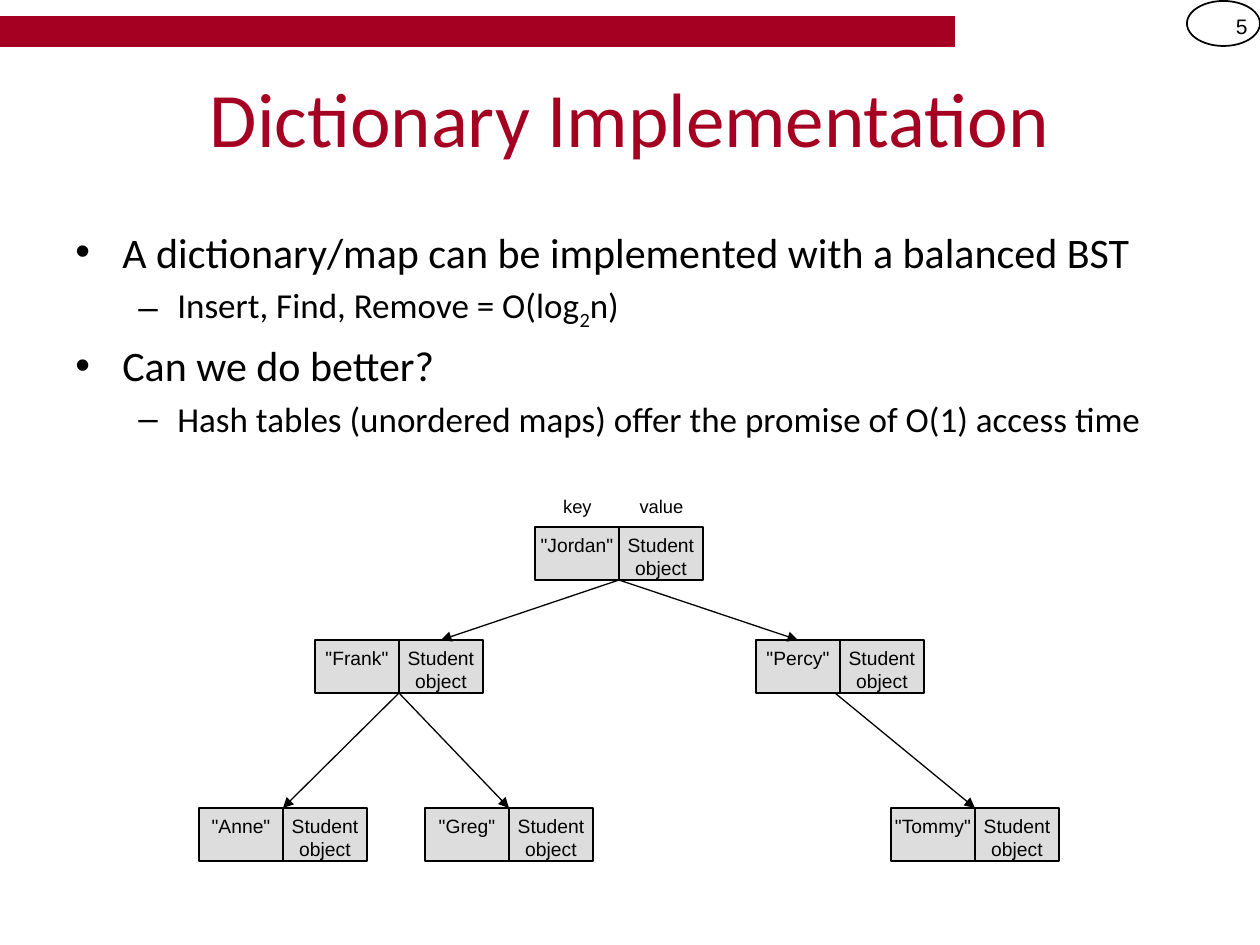
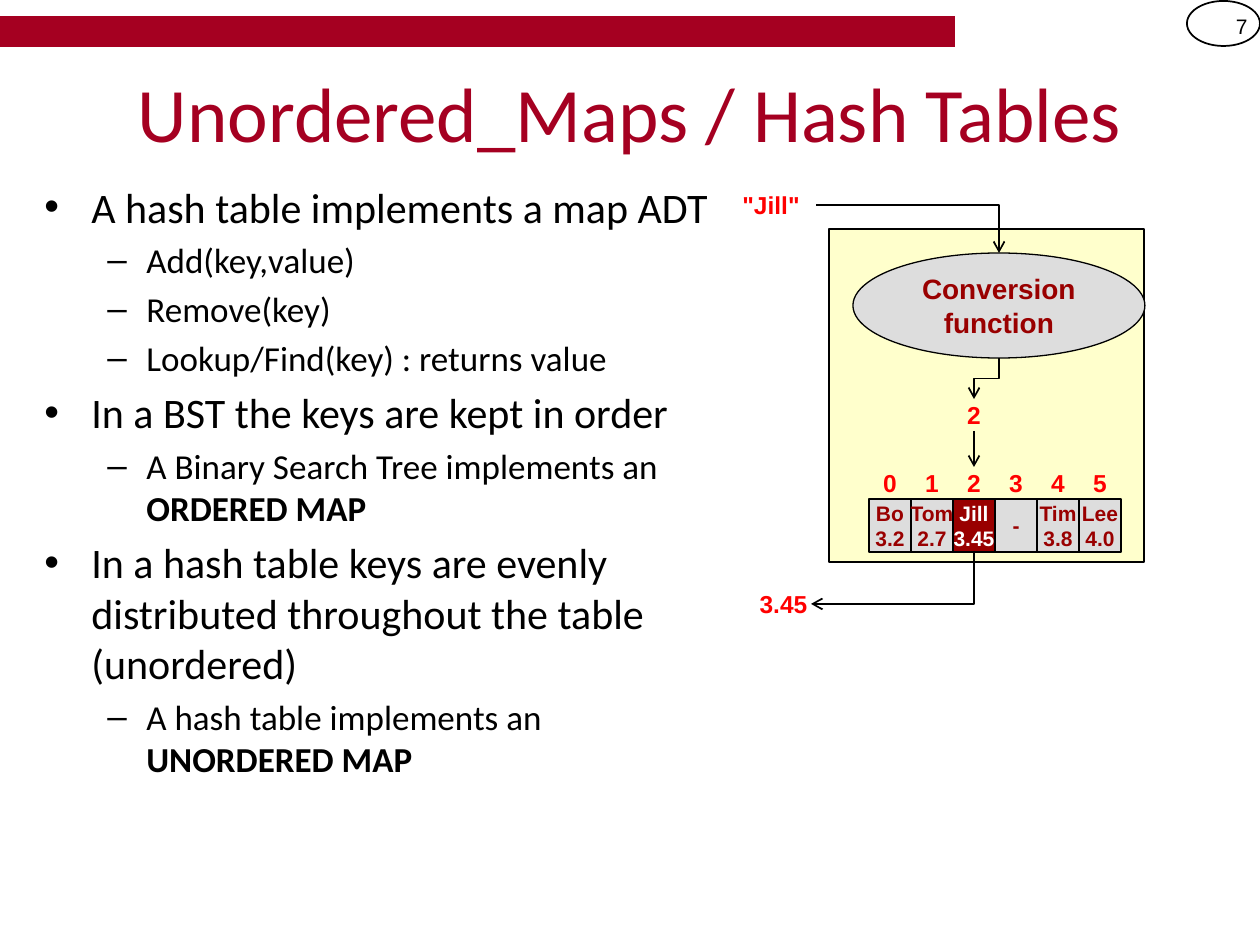
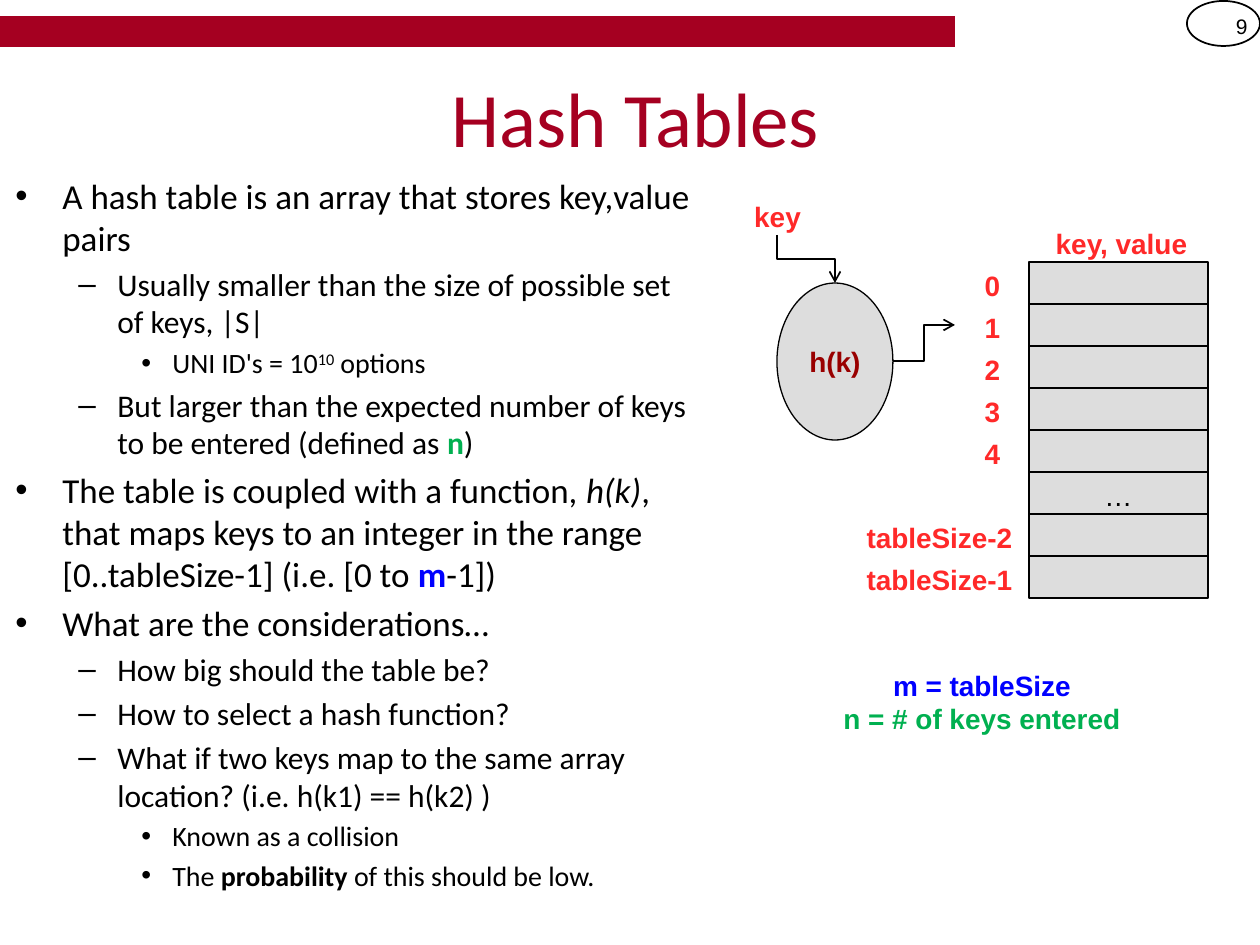
from lxml import etree
from pptx import Presentation
from pptx import util as u
from pptx.dml.color import RGBColor
from pptx.enum import shapes, text
from pptx.oxml.ns import qn

EMU_PER_PX = 914400 / 126
COLORS = {
    "crimson": "A50021", "black": "000000", "white": "FFFFFF", "gray": "DDDDDD",
    "cream": "FFFFCC", "maroon": "990000", "red": "FF0000", "coral": "FF2929",
    "green": "00B050", "blue": "0000FF",
}
RECTANGLE = shapes.MSO_SHAPE.RECTANGLE
OVAL = shapes.MSO_SHAPE.OVAL
MIDDLE, TOP = text.MSO_ANCHOR.MIDDLE, text.MSO_ANCHOR.TOP
CENTER, RIGHT = text.PP_ALIGN.CENTER, text.PP_ALIGN.RIGHT
BULLETS = [("•", 47, 47), ("–", 102, 39), ("•", 157, 31)]  # symbol, margin, hanging
NODE_WIDTH, CELL_HEIGHT = 84, 53
BOLD = {"bold": True}


def px(length):
    return u.Emu(round(length * EMU_PER_PX))


def box_px(box):
    return [px(length) for length in box]


def rgb(name):
    return RGBColor.from_string(COLORS[name])


def set_font(font, size, color="black", name="Arial", bold=False):
    font.size, font.name, font.bold = u.Pt(size), name, bold
    font.color.rgb = rgb(color)


def write(shape, content, size, color="black", bold=False, anchor=MIDDLE,
          align=CENTER, wrap=True, font_name="Arial"):
    frame = shape.text_frame
    frame.word_wrap, frame.vertical_anchor = wrap, anchor
    paragraph = frame.paragraphs[0]
    paragraph.text, paragraph.alignment = content, align
    set_font(paragraph.font, size, color, font_name, bold)


def add_label(slide, box, content, size, color="black", tight=False, **style):
    """Text box; a tight one has no side margins."""
    label = slide.shapes.add_textbox(*box_px(box))
    write(label, content, size, color, **style)
    if tight:
        label.text_frame.margin_left = label.text_frame.margin_right = 0
    return label


def add_figure(slide, kind, box, fill=None, line="black", width=0.75):
    shape = slide.shapes.add_shape(kind, *box_px(box))
    shape.shadow.inherit = False
    if fill:
        shape.fill.solid()
        shape.fill.fore_color.rgb = rgb(fill)
    else:
        shape.fill.background()
    if line:
        shape.line.color.rgb = rgb(line)
        shape.line.width = u.Pt(width)
    else:
        shape.line.fill.background()
    return shape


def add_arrow(slide, start, end, kind=shapes.MSO_CONNECTOR.STRAIGHT, head="arrow", width=1):
    connector = slide.shapes.add_connector(kind, *box_px((*start, *end)))
    connector.line.color.rgb = rgb("black")
    connector.line.width = u.Pt(width)
    properties = connector._element.spPr
    etree.SubElement(properties.find(qn("a:ln")), qn("a:tailEnd"), type=head)
    etree.SubElement(properties, qn("a:effectLst"))
    return connector


def add_elbow(slide, start, end, corners=2, vertical_first=False):
    """Bent arrow; one that leaves vertically is a horizontal one turned by 90 degrees."""
    if vertical_first:
        center_x, center_y = (start[0] + end[0]) / 2, (start[1] + end[1]) / 2
        half_x, half_y = (end[1] - start[1]) / 2, (start[0] - end[0]) / 2
        start = center_x - half_x, center_y - half_y
        end = center_x + half_x, center_y + half_y
    connector = add_arrow(slide, start, end, shapes.MSO_CONNECTOR.ELBOW)
    properties = connector._element.spPr
    if vertical_first:
        properties.find(qn("a:xfrm")).set("rot", "5400000")
    if corners == 1:
        properties.find(qn("a:prstGeom")).set("prst", "bentConnector2")


def add_run(paragraph, content, bold=None, italic=None, color=None, baseline=None):
    run = paragraph.add_run()
    run.text = content
    run.font.bold, run.font.italic = bold, italic
    if color:
        run.font.color.rgb = rgb(color)
    if baseline:
        run._r.get_or_add_rPr().set("baseline", str(baseline * 1000))


def add_bullets(slide, box, sizes, items):
    """Each item is a level followed by runs: plain strings or (string, style) pairs."""
    frame = slide.shapes.add_textbox(*box_px(box)).text_frame
    frame.word_wrap = True
    for index, (level, *runs) in enumerate(items):
        paragraph = frame.add_paragraph() if index else frame.paragraphs[0]
        symbol, margin, hanging = BULLETS[level]
        paragraph.level = level
        paragraph.space_before = u.Pt(0.2 * sizes[level])
        properties = paragraph._p.get_or_add_pPr()
        properties.set("marL", str(px(margin)))
        properties.set("indent", str(-px(hanging)))
        etree.SubElement(properties, qn("a:buFont"), typeface="Arial")
        etree.SubElement(properties, qn("a:buChar"), char=symbol)
        set_font(paragraph.font, sizes[level], name="Calibri")
        for run in runs:
            content, style = (run, {}) if isinstance(run, str) else run
            add_run(paragraph, content, **style)


def add_slide(presentation, title, title_box, number):
    slide = presentation.slides.add_slide(presentation.slide_layouts[5])
    add_figure(slide, RECTANGLE, (0, 16, 955, 31), "crimson", line=None)
    add_figure(slide, OVAL, (1187, 1, 73, 45), width=1)
    add_label(slide, (1187, 1, 73, 50), str(number), 12, align=RIGHT)
    heading = slide.shapes.title
    heading.left, heading.top, heading.width, heading.height = box_px(title_box)
    write(heading, title, 44, "crimson", font_name="Calibri")
    return slide


def add_tree_node(slide, left, top, key):
    for column, content in enumerate((f'"{key}"', "Student\nobject")):
        box = (left + column * NODE_WIDTH, top, NODE_WIDTH, CELL_HEIGHT)
        cell = add_figure(slide, RECTANGLE, box, "gray")
        write(cell, content, 11, anchor=TOP, wrap=False)


def build_dictionary_slide(presentation):
    slide = add_slide(presentation, "Dictionary Implementation", (63, 38, 1134, 157), 5)
    add_bullets(slide, (63, 220, 1134, 624), (24, 20), [
        (0, "A dictionary/map can be implemented with a balanced BST"),
        (1, "Insert, Find, Remove = O(log", ("2", {"baseline": -25}), "n)"),
        (0, "Can we do better?"),
        (1, "Hash tables (unordered maps) offer the promise of O(1) access time"),
    ])
    for left, heading in ((551, "key"), (635, "value")):
        add_label(slide, (left, 485, 53, 42), heading, 10.5, tight=True)
    nodes = [(535, 527, "Jordan"), (315, 640, "Frank"), (756, 640, "Percy"),
             (199, 808, "Anne"), (425, 808, "Greg"), (891, 808, "Tommy")]
    for node in nodes:
        add_tree_node(slide, *node)
    branches = [((619, 580), (441, 640)), ((619, 580), (798, 640)),
                ((399, 693), (283, 808)), ((399, 693), (509, 808)),
                ((835, 693), (975, 808))]
    for start, end in branches:
        add_arrow(slide, start, end, head="triangle", width=0.75)


def build_map_slide(presentation):
    slide = add_slide(presentation, "Unordered_Maps / Hash Tables", (68, 49, 1124, 126), 7)
    add_bullets(slide, (32, 175, 702, 670), (24, 20), [
        (0, "A hash table implements a map ADT"),
        (1, "Add(key,value)"),
        (1, "Remove(key)"),
        (1, "Lookup/Find(key) : returns value"),
        (0, "In a BST the keys are kept in order"),
        (1, "A Binary Search Tree implements an ", ("ORDERED MAP", BOLD)),
        (0, "In a hash table keys are evenly distributed throughout the table (unordered)"),
        (1, "A hash table implements an ", ("UNORDERED MAP", BOLD)),
    ])
    add_figure(slide, RECTANGLE, (829, 229, 315, 333), "cream")
    function = add_figure(slide, OVAL, (853, 253, 292, 105), "gray")
    write(function, "Conversion function", 16, "maroon", bold=True)

    entries = ["Bo\n3.2", "Tom\n2.7", "Jill\n3.45", "-", "Tim\n3.8", "Lee\n4.0"]
    found, cell_width = 2, 42
    red_labels = [((725, 189, 92, 32), '"Jill"'), ((953, 399, 42, 32), str(found)),
                  ((756, 588, 55, 32), "3.45")]
    for index, entry in enumerate(entries):
        left = 869 + index * cell_width
        fill, color = ("maroon", "white") if index == found else ("gray", "maroon")
        cell = add_figure(slide, RECTANGLE, (left, 499, cell_width, CELL_HEIGHT), fill)
        write(cell, entry, 12, color, bold=True, wrap=False)
        red_labels.append(((left, 467, cell_width, 32), str(index)))
    for box, content in red_labels:
        add_label(slide, box, content, 14, "red", tight=True, bold=True, wrap=False)

    add_elbow(slide, (816, 205), (999, 253), corners=1)
    add_elbow(slide, (999, 358), (974, 399), vertical_first=True)
    add_arrow(slide, (974, 431), (974, 467))
    add_elbow(slide, (974, 551), (811, 604), corners=1, vertical_first=True)


def build_hash_table_slide(presentation):
    slide = add_slide(presentation, "Hash Tables", (42, 38, 1187, 157), 9)
    add_bullets(slide, (3, 168, 714, 735), (20, 18, 16), [
        (0, "A hash table is an array that stores key,value pairs"),
        (1, "Usually smaller than the size of possible set of keys, |S|"),
        (2, "UNI ID's = 10", ("10", {"baseline": 30}), " options"),
        (1, "But larger than the expected number of keys to be entered (defined as ",
         ("n", {"bold": True, "color": "green"}), ")"),
        (0, "The table is coupled with a function, ", ("h(k)", {"italic": True}),
         ", that maps keys to an integer in the range [0..tableSize-1] (i.e. [0 to ",
         ("m", {"bold": True, "color": "blue"}), "-1])"),
        (0, "What are the considerations…"),
        (1, "How big should the table be?"),
        (1, "How to select a hash function?"),
        (1, "What if two keys map to the same array location? (i.e. h(k1) == h(k2) )"),
        (2, "Known as a collision"),
        (2, "The ", ("probability ", BOLD), "of this should be low."),
    ])
    coral_labels = [((741, 193, 73, 42), "key"), ((1032, 220, 179, 42), "key, value")]
    table_left, row_height = 1029, 42
    for row, index in enumerate(["0", "1", "2", "3", "4", "…", "tableSize-2", "tableSize-1"]):
        top = 262 + row * row_height
        cell = add_figure(slide, RECTANGLE, (table_left, top, 179, row_height), "gray")
        if index == "…":
            write(cell, index, 16, anchor=TOP)
        else:
            width = 73 if len(index) == 1 else 179
            coral_labels.append(((table_left - width, top, width, row_height), index))
    for box, content in coral_labels:
        add_label(slide, box, content, 16, "coral", bold=True, anchor=TOP)

    function = add_figure(slide, OVAL, (777, 283, 116, 157), "gray")
    write(function, "h(k)", 16, "maroon", bold=True)
    add_elbow(slide, (777, 235), (835, 283), vertical_first=True)
    add_elbow(slide, (893, 361), (955, 325))

    legend = add_label(slide, (798, 662, 368, 126), "m = tableSize", 16, "blue",
                       bold=True, anchor=TOP)
    paragraph = legend.text_frame.add_paragraph()
    paragraph.text, paragraph.alignment = "n = # of keys entered", CENTER
    set_font(paragraph.font, 16, "green", bold=True)


def main():
    presentation = Presentation()
    presentation.slide_width, presentation.slide_height = px(1260), px(945)
    build_dictionary_slide(presentation)
    build_map_slide(presentation)
    build_hash_table_slide(presentation)
    presentation.save("out.pptx")


if __name__ == "__main__":
    main()
